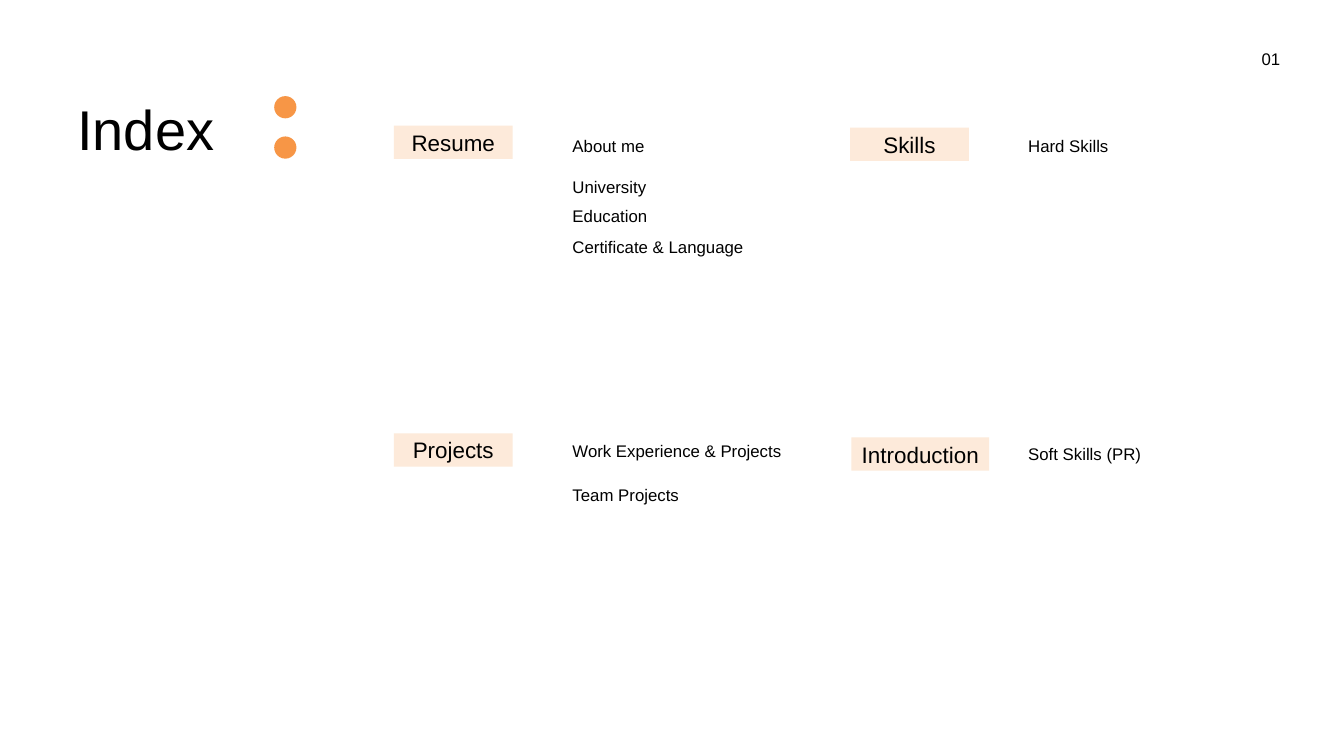
from pptx import Presentation
from pptx.dml.color import RGBColor
from pptx.enum.shapes import MSO_SHAPE
from pptx.enum.text import MSO_ANCHOR, MSO_AUTO_SIZE, PP_ALIGN
from pptx.util import Pt
from lxml.etree import SubElement
from pptx.oxml.ns import qn

BLACK, ORANGE, PEACH = "000000", "F79646", "FDEADA"
SECTIONS = [
    (421.9, 134.6, 127.4, 7.2, "Resume",
     [("About me", 0), ("University", 21.8), ("Education", 10.4),
      ("Certificate & Language", 11.4)]),
    (421.9, 464.4, 127.4, 4.3, "Projects",
     [("Work Experience & Projects", 0), ("Team Projects", 25.4)]),
    (910.8, 136.8, 127.4, 5, "Skills", [("Hard Skills", 0)]),
    (912.2, 468.7, 147.6, 3.6, "Introduction", [("Soft Skills (PR)", 0)]),
]
LISTX = {421.9: 606.2, 910.8: 1094.4, 912.2: 1094.4}


def color(code):
    return RGBColor.from_string(code)


def place(shape, left, top, width, height):
    box = {"left": left, "top": top, "width": width, "height": height}
    for name, value in box.items():
        setattr(shape, name, Pt(value))


def write(shape, lines, size, align=PP_ALIGN.LEFT, anchor=MSO_ANCHOR.TOP):
    frame = shape.text_frame
    look = {"word_wrap": True, "auto_size": MSO_AUTO_SIZE.NONE,
            "vertical_anchor": anchor, "margin_left": Pt(7.2),
            "margin_right": Pt(7.2), "margin_top": Pt(3.6),
            "margin_bottom": Pt(3.6)}
    for name, value in look.items():
        setattr(frame, name, value)
    for num, (text, gap) in enumerate(lines):
        para = frame.add_paragraph() if num else frame.paragraphs[0]
        props = para._p.get_or_add_pPr()
        for name in ("marL", "indent"):
            props.set(name, "0")
        SubElement(props, qn("a:buNone"))
        for name, value in {"alignment": align, "line_spacing": 1.0,
                            "space_before": Pt(gap)}.items():
            setattr(para, name, value)
        run = para.add_run()
        run.text = text
        for name, value in {"name": "Arial", "size": Pt(size),
                            "bold": False}.items():
            setattr(run.font, name, value)
        run.font.color.rgb = color(BLACK)


def paint(slide, kind, box, fill):
    shape = slide.shapes.add_shape(kind, *map(Pt, box))
    shape.shadow.inherit = False
    shape.fill.solid()
    shape.fill.fore_color.rgb = color(fill)
    shape.line.fill.background()
    return shape


def header(slide, left, top):
    title = slide.shapes.title
    place(title, left, top, 426.2, 79.2)
    write(title, [("Index", 0)], 60)
    for row in range(2):
        dot = (left + 218.2, top + 5.8 + row * 43.2, 23.8, 23.8)
        paint(slide, MSO_SHAPE.OVAL, dot, ORANGE)


def section(slide, body, left, top, width, drop, name, items):
    label = paint(slide, MSO_SHAPE.RECTANGLE, (left, top, width, 35.6), PEACH)
    write(label, [(name, 0)], 24, PP_ALIGN.CENTER, MSO_ANCHOR.MIDDLE)
    tall = 7.2 + sum(20.7 + gap for _, gap in items)
    place(body, LISTX[left], top + drop, 244, tall)
    write(body, items, 18)


def number(slide, left, top):
    box = slide.shapes.add_textbox(*map(Pt, (left, top, 50.4, 28.8)))
    write(box, [("01", 0)], 18, PP_ALIGN.RIGHT)


def main():
    deck = Presentation()
    deck.slide_width, deck.slide_height = Pt(1440), Pt(810)
    slide = deck.slides.add_slide(deck.slide_layouts.get_by_name("Comparison"))
    header(slide, 75.6, 97.2)
    bodies = list(slide.placeholders)[1:]
    for body, part in zip(bodies, SECTIONS):
        section(slide, body, *part)
    number(slide, 1328.4, 48.2)
    deck.save("out.pptx")


if __name__ == "__main__":
    main()
